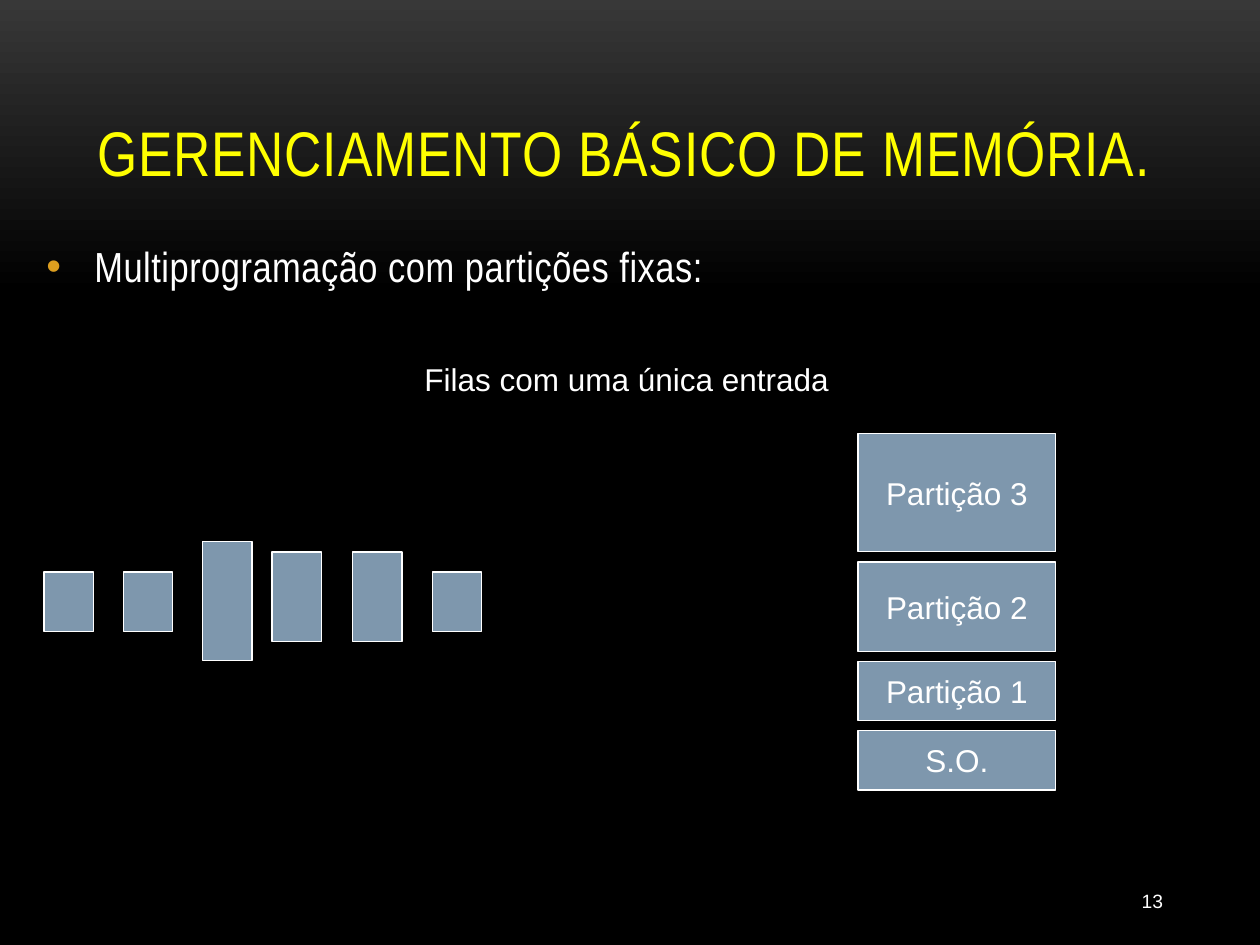
from dataclasses import dataclass

from lxml import etree
from pptx import Presentation
from pptx.dml.color import RGBColor
from pptx.enum.shapes import MSO_SHAPE
from pptx.enum.text import MSO_ANCHOR, MSO_AUTO_SIZE, PP_ALIGN
from pptx.oxml.ns import qn
from pptx.util import Inches, Pt

RECTANGLE = MSO_SHAPE.RECTANGLE
TOP, MIDDLE, BOTTOM = MSO_ANCHOR.TOP, MSO_ANCHOR.MIDDLE, MSO_ANCHOR.BOTTOM
LEFT, CENTER, RIGHT = PP_ALIGN.LEFT, PP_ALIGN.CENTER, PP_ALIGN.RIGHT
NO_AUTOFIT = MSO_AUTO_SIZE.NONE


@dataclass(frozen=True)
class Theme:
    heading_font: str = "Arial Narrow"
    text_font: str = "Arial"
    title_size: int = 36
    topic_size: int = 24
    label_size: int = 18
    number_size: int = 11
    line_width: float = 0.75
    title: str = "FFFF00"
    text: str = "FFFFFF"
    block: str = "7E97AD"
    bullet: str = "DC9E1F"
    glow: str = "383838"
    background: str = "000000"


THEME = Theme()

TITLE = "GERENCIAMENTO BÁSICO DE MEMÓRIA."
TOPIC = "Multiprogramação com partições fixas:"
CAPTION = "Filas com uma única entrada"
PAGE_NUMBER = "13"

SIZES = {"small": 0.47, "medium": 0.71, "large": 0.94}
PARTITIONS = [
    ("Partição 3", "large"),
    ("Partição 2", "medium"),
    ("Partição 1", "small"),
    ("S.O.", "small"),
]
STACK_LEFT, STACK_TOP, STACK_WIDTH, STACK_GAP = 6.81, 3.44, 1.57, 0.08

QUEUE = [
    (0.35, "small"),
    (0.98, "small"),
    (1.61, "large"),
    (2.16, "medium"),
    (2.8, "medium"),
    (3.43, "small"),
]
QUEUE_TOPS = {"small": 4.54, "medium": 4.38, "large": 4.3}
JOB_WIDTH = 0.39


def rgb(value):
    return RGBColor.from_string(value)


def write(holder, text, size, color=THEME.text, font=THEME.text_font,
          align=LEFT, anchor=TOP, spacing=0, wrap=True):
    frame = holder.text_frame
    frame.text = text
    frame.word_wrap = wrap
    frame.auto_size = NO_AUTOFIT
    frame.vertical_anchor = anchor
    paragraph = frame.paragraphs[0]
    paragraph.alignment = align
    run = paragraph.runs[0]
    run.font.name = font
    run.font.size = Pt(size)
    run.font.color.rgb = rgb(color)
    if spacing:
        run.font._element.set("spc", str(round(spacing * 100)))
    return paragraph


def add_text(slide, box, text, size, **style):
    holder = slide.shapes.add_textbox(*map(Inches, box))
    return write(holder, text, size, **style)


def add_bullet(paragraph, indent):
    properties = paragraph._p.get_or_add_pPr()
    properties.set("marL", str(Inches(indent)))
    properties.set("indent", str(-Inches(indent)))
    color = etree.SubElement(properties, qn("a:buClr"))
    etree.SubElement(color, qn("a:srgbClr"), val=THEME.bullet)
    etree.SubElement(properties, qn("a:buFont"), typeface=THEME.text_font)
    etree.SubElement(properties, qn("a:buChar"), char="•")


def add_block(slide, left, top, width, height):
    block = slide.shapes.add_shape(RECTANGLE, *map(Inches, (left, top, width, height)))
    block.shadow.inherit = False
    block.fill.solid()
    block.fill.fore_color.rgb = rgb(THEME.block)
    block.line.color.rgb = rgb(THEME.text)
    block.line.width = Pt(THEME.line_width)
    return block


def paint_background(slide):
    fill = slide.background.fill
    fill.gradient()
    fill.gradient_angle = 270
    stops = [(0, THEME.glow), (0.31, THEME.background)]
    for stop, (position, color) in zip(fill.gradient_stops, stops):
        stop.position = position
        stop.color.rgb = rgb(color)


def add_heading(slide):
    title = slide.shapes.title
    title.left, title.top, title.width, title.height = map(Inches, (0.67, 0.3, 8.67, 1.25))
    write(title, TITLE, THEME.title_size, color=THEME.title,
          font=THEME.heading_font, anchor=BOTTOM, spacing=0.5)
    topic = add_text(slide, (0.27, 1.86, 9.45, 0.87), TOPIC, THEME.topic_size,
                     font=THEME.heading_font, spacing=0.3)
    add_bullet(topic, 0.38)


def add_partitions(slide):
    top = STACK_TOP
    for name, size in PARTITIONS:
        partition = add_block(slide, STACK_LEFT, top, STACK_WIDTH, SIZES[size])
        write(partition, name, THEME.label_size, align=CENTER, anchor=MIDDLE, wrap=False)
        top += SIZES[size] + STACK_GAP


def add_queue(slide):
    for left, size in QUEUE:
        add_block(slide, left, QUEUE_TOPS[size], JOB_WIDTH, SIZES[size])


def main():
    deck = Presentation()
    deck.slide_width, deck.slide_height = Inches(10), Inches(7.5)
    slide = deck.slides.add_slide(deck.slide_layouts.get_by_name("Title Only"))
    paint_background(slide)
    add_heading(slide)
    add_text(slide, (3.27, 2.81, 3.62, 0.4), CAPTION, THEME.label_size)
    add_partitions(slide)
    add_queue(slide)
    add_text(slide, (8.25, 6.95, 1.08, 0.4), PAGE_NUMBER, THEME.number_size,
             align=RIGHT, anchor=MIDDLE)
    deck.save("out.pptx")


if __name__ == "__main__":
    main()
